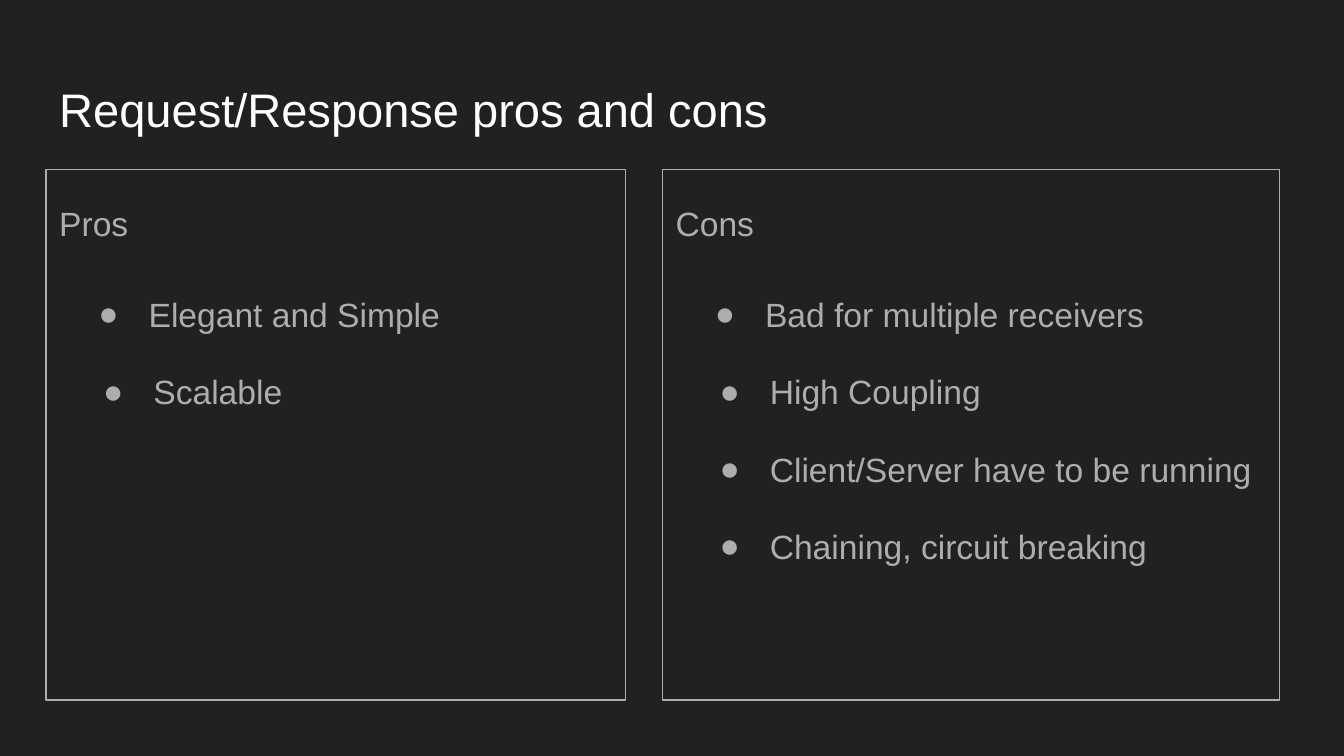
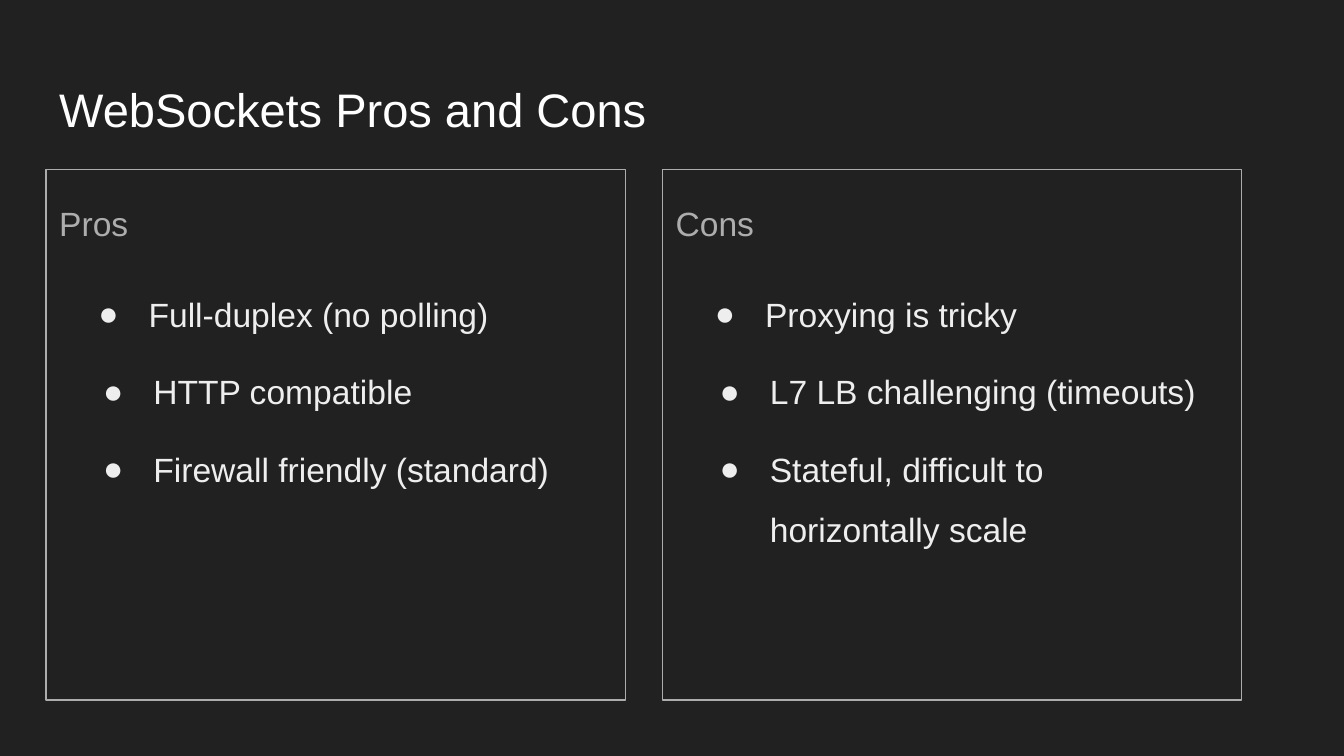
"""Build two dark slides that compare the pros and cons of messaging styles."""
import pptx
import pptx.dml.color
import pptx.enum.shapes
import pptx.enum.text
import pptx.oxml.ns
import pptx.util
import lxml.etree

Cm = pptx.util.Cm
Pt = pptx.util.Pt

BACKGROUND = "212121"
TITLE_COLOR = "FFFFFF"
GRAY = "ADADAD"
PALE = "EEEEEE"
FONT = "Arial"

MARGIN = 0.87
COLUMN_STEP = 11.65
PANEL_TOP, PANEL_WIDTH, PANEL_HEIGHT = 3.2, 10.95, 10.03
BULLET_TOP, BULLET_STEP = 4.93, 1.46
BULLET_WIDTH, BULLET_HEIGHT = 9.93, 2.03

SLIDES = [
    ("Request/Response pros and cons", GRAY, [
        ("Pros", PANEL_WIDTH, ["Elegant and Simple", "Scalable"]),
        ("Cons", 11.66, ["Bad for multiple receivers", "High Coupling",
                         "Client/Server have to be running",
                         "Chaining, circuit breaking"]),
    ]),
    ("WebSockets Pros and Cons", PALE, [
        ("Pros", PANEL_WIDTH, ["Full-duplex (no polling)", "HTTP compatible",
                               "Firewall friendly (standard)"]),
        ("Cons", PANEL_WIDTH, ["Proxying is tricky", "L7 LB challenging (timeouts)",
                               "Stateful, difficult to horizontally scale"]),
    ]),
]
BULLET_SIZES = {
    "Client/Server have to be running": (10.95, BULLET_HEIGHT),
    "L7 LB challenging (timeouts)": (11.5, BULLET_HEIGHT),
    "Stateful, difficult to horizontally scale": (BULLET_WIDTH, 2.9),
}


def rgb(color):
    return pptx.dml.color.RGBColor.from_string(color)


def write_text(shape, text, size, color, anchor=pptx.enum.text.MSO_ANCHOR.TOP):
    frame = shape.text_frame
    frame.word_wrap = True
    frame.vertical_anchor = anchor
    frame.margin_left = frame.margin_right = Cm(0.25)
    frame.margin_top = frame.margin_bottom = Cm(0.25)
    paragraph = frame.paragraphs[0]
    paragraph.alignment = pptx.enum.text.PP_ALIGN.LEFT
    run = paragraph.add_run()
    run.text = text
    run.font.name = FONT
    run.font.size = Pt(size)
    run.font.color.rgb = rgb(color)
    return paragraph


presentation = pptx.Presentation()
presentation.slide_width = Cm(25.4)
presentation.slide_height = Cm(14.29)
master_fill = presentation.slide_master.background.fill
master_fill.solid()
master_fill.fore_color.rgb = rgb(BACKGROUND)

for title, bullet_color, columns in SLIDES:
    slide = presentation.slides.add_slide(presentation.slide_layouts[6])
    title_box = slide.shapes.add_textbox(Cm(MARGIN), Cm(1.24), Cm(23.67), Cm(1.6))
    write_text(title_box, title, 25.2, TITLE_COLOR, pptx.enum.text.MSO_ANCHOR.BOTTOM)

    for column, (heading, panel_width, bullets) in enumerate(columns):
        left = MARGIN + column * COLUMN_STEP
        panel = slide.shapes.add_shape(
            pptx.enum.shapes.MSO_SHAPE.RECTANGLE,
            Cm(left), Cm(PANEL_TOP), Cm(panel_width), Cm(PANEL_HEIGHT))
        panel.shadow.inherit = False
        panel.fill.background()
        panel.line.color.rgb = rgb(GRAY)
        panel.line.width = Pt(0.75)
        paragraph = write_text(panel, heading, 18, GRAY)
        paragraph.line_spacing = 1.5
        paragraph.space_before = paragraph.space_after = Pt(12)

        for row, text in enumerate(bullets):
            width, height = BULLET_SIZES.get(text, (BULLET_WIDTH, BULLET_HEIGHT))
            indent = 0.42 if row == 0 else 0.51
            bullet_box = slide.shapes.add_textbox(
                Cm(left + indent), Cm(BULLET_TOP + row * BULLET_STEP),
                Cm(width), Cm(height))
            paragraph = write_text(bullet_box, text, 18, bullet_color)
            paragraph.line_spacing = 1.5
            paragraph.space_before = Pt(12)
            properties = paragraph._p.get_or_add_pPr()
            properties.set("marL", str(Cm(1.27)))
            properties.set("indent", str(Cm(-0.95)))
            qn = pptx.oxml.ns.qn
            bullet_paint = lxml.etree.SubElement(properties, qn("a:buClr"))
            lxml.etree.SubElement(bullet_paint, qn("a:srgbClr"), val=bullet_color)
            lxml.etree.SubElement(properties, qn("a:buFont"), typeface=FONT)
            lxml.etree.SubElement(properties, qn("a:buChar"), char="●")

presentation.save("out.pptx")
